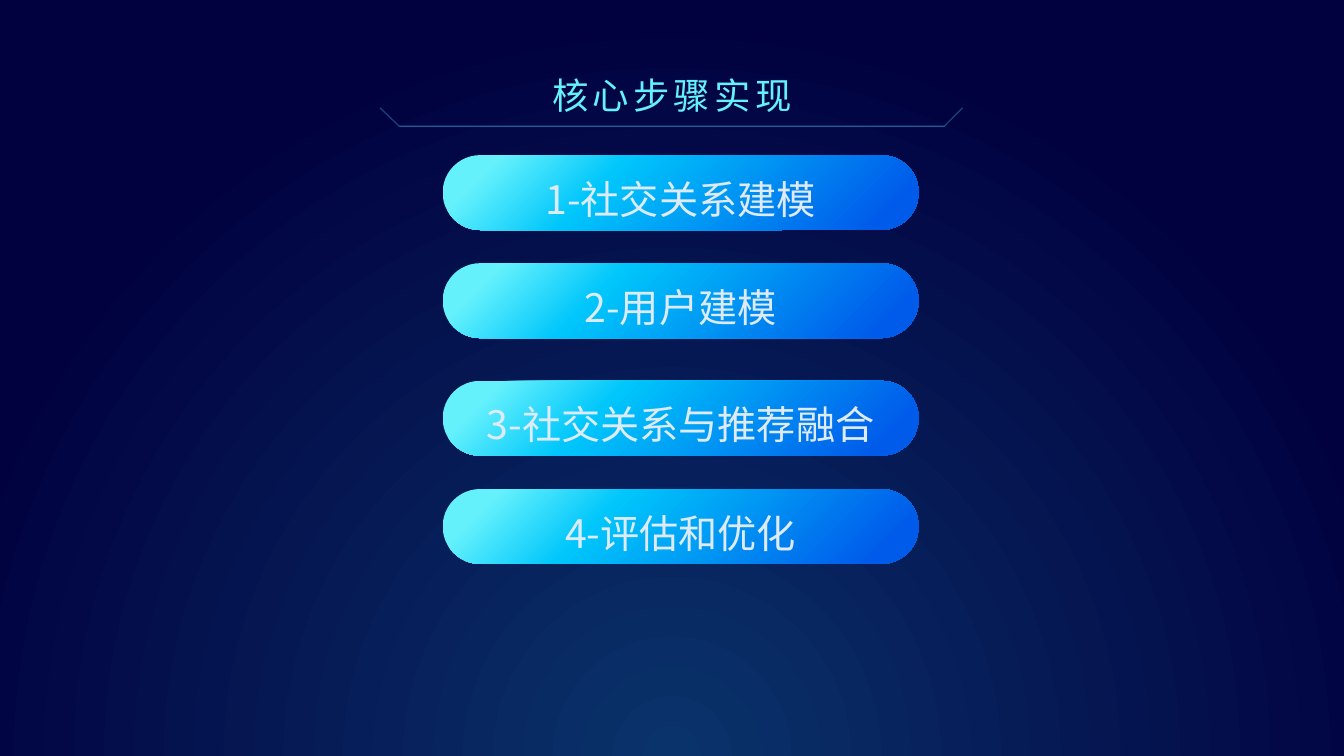
from lxml.etree import SubElement
from pptx import Presentation
from pptx.dml.color import RGBColor
from pptx.enum.shapes import MSO_CONNECTOR, MSO_SHAPE
from pptx.enum.text import MSO_ANCHOR, MSO_AUTO_SIZE, PP_ALIGN
from pptx.oxml import parse_xml
from pptx.oxml.ns import nsdecls, qn
from pptx.util import Pt

FONT = "Noto Sans CJK SC"
NAVY = RGBColor(0x01, 0x01, 0x3F)
DEEP_BLUE = RGBColor(0x0A, 0x33, 0x6B)
AQUA = RGBColor(0x64, 0xF1, 0xFC)
SKY = RGBColor(0x00, 0xC6, 0xFB)
BLUE = RGBColor(0x00, 0x5B, 0xEA)
LINE_BLUE = RGBColor(0x4D, 0xC5, 0xF5)
PALE = RGBColor(0xDE, 0xEB, 0xF7)

LINEAR = '<a:lin ang="{}" scaled="0"/>'
GLOW = '<a:path path="circle"><a:fillToRect l="50000" t="130000" r="50000" b="-30000"/></a:path>'


def set_gradient(fill, element, stops, direction):
    """Fill with (percent, colour) stops; element is the XML that holds the fill."""
    fill.gradient()
    old = next(element.iter(qn("a:gradFill")))
    marks = "".join(f'<a:gs pos="{pos * 1000}"><a:srgbClr val="{color}"/></a:gs>'
                    for pos, color in stops)
    new = parse_xml(f'<a:gradFill {nsdecls("a")} rotWithShape="1">'
                    f'<a:gsLst>{marks}</a:gsLst>{direction}</a:gradFill>')
    old.getparent().replace(old, new)


def write_text(sp, text, size, color=None, spacing=None, line_spacing=None):
    """Put one centred, unwrapped line in a shape and return its run."""
    tf = sp.text_frame
    tf.word_wrap = False
    tf.auto_size = MSO_AUTO_SIZE.NONE
    tf.vertical_anchor = MSO_ANCHOR.MIDDLE
    p = tf.paragraphs[0]
    p.alignment = PP_ALIGN.CENTER
    p.line_spacing = line_spacing
    r = p.add_run()
    r.text = text
    r.font.size = Pt(size)
    r.font.name = FONT
    props = r._r.get_or_add_rPr()
    SubElement(props, qn("a:ea")).set("typeface", FONT)
    if spacing:
        props.set("spc", str(spacing * 100))
    if color is not None:
        r.font.color.rgb = color
    return r


class StepSlide:
    def __init__(self, prs):
        self.s = prs.slides.add_slide(prs.slide_layouts[5])

    def background(self):
        set_gradient(self.s.background.fill, self.s.element,
                     [(0, DEEP_BLUE), (97, NAVY), (100, NAVY)], GLOW)

    def title(self, text, left, top, width, height):
        sp = self.s.shapes.title
        sp.left, sp.top, sp.width, sp.height = map(Pt, (left, top, width, height))
        r = write_text(sp, text, 26, spacing=3, line_spacing=1.0)
        set_gradient(r.font.fill, sp.element, [(0, AQUA), (100, SKY)], LINEAR.format(0))

    def line(self, start, end, opacity):
        sp = self.s.shapes.add_connector(MSO_CONNECTOR.STRAIGHT, *map(Pt, start + end))
        sp.line.width = Pt(1)
        sp.line.color.rgb = LINE_BLUE
        color = next(sp.element.iter(qn("a:srgbClr")))
        SubElement(color, qn("a:alpha")).set("val", str(opacity * 1000))
        SubElement(sp.element.spPr, qn("a:effectLst"))

    def pill(self, text, left, top, width, height):
        sp = self.s.shapes.add_shape(MSO_SHAPE.ROUNDED_RECTANGLE,
                                     *map(Pt, (left, top, width, height)))
        sp.adjustments[0] = 0.5
        sp.shadow.inherit = False
        sp.line.fill.background()
        set_gradient(sp.fill, sp.element, [(11, AQUA), (34, SKY), (91, BLUE)],
                     LINEAR.format(45 * 60000))
        write_text(sp, text, 28, PALE, line_spacing=1.25)


def main():
    prs = Presentation()
    prs.slide_width, prs.slide_height = Pt(960), Pt(540)
    slide = StepSlide(prs)
    slide.background()
    slide.title("核心步骤实现", 385, 48, 190, 39)

    bracket = [(271.5, 77), (285.2, 90.2), (674.5, 90.2), (687.6, 77)]
    for start, end, opacity in zip(bracket, bracket[1:], (30, 45, 30)):
        slide.line(start, end, opacity)

    steps = {"社交关系建模": 110.8, "用户建模": 188, "社交关系与推荐融合": 272, "评估和优化": 349.3}
    for number, (step, top) in enumerate(steps.items(), 1):
        slide.pill(f"{number}-{step}", 316.2, top, 340, 53.5)
    prs.save("out.pptx")


if __name__ == "__main__":
    main()
